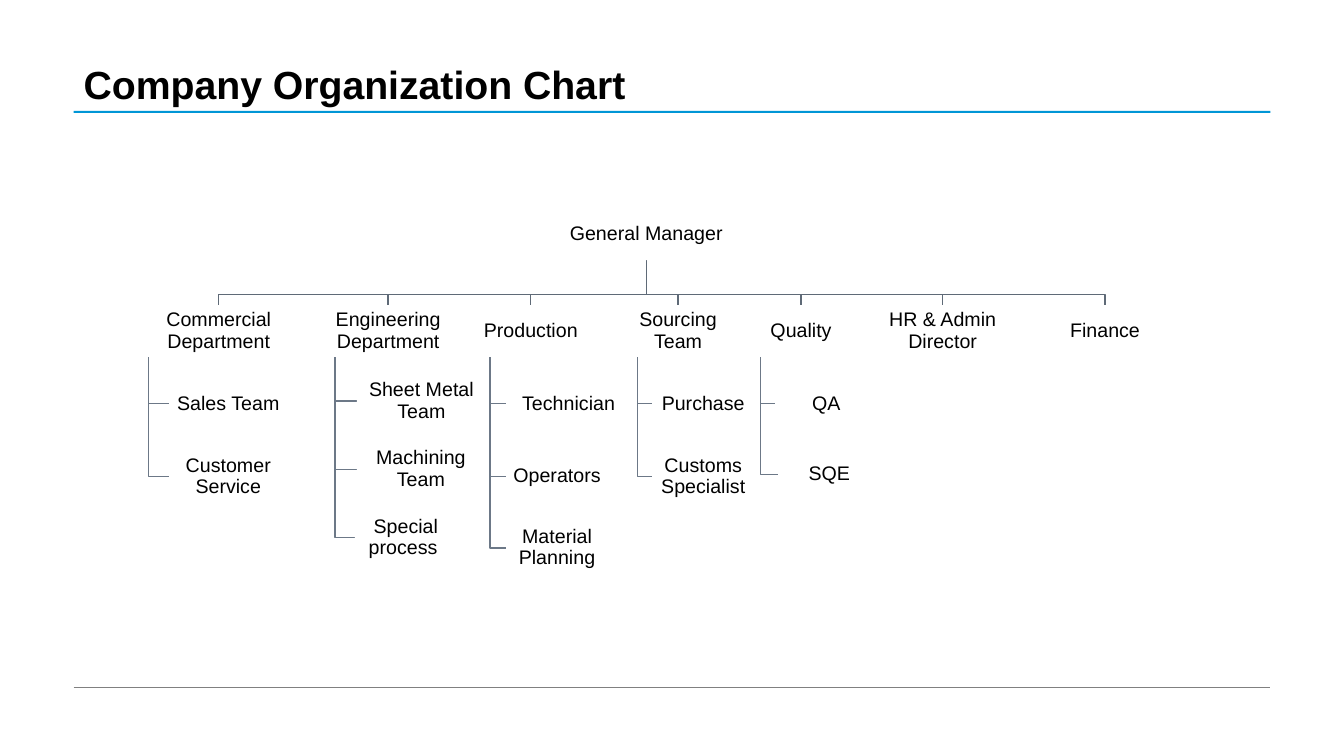
"""Build the company organization chart slide."""
from lxml.etree import SubElement
from pptx import Presentation
from pptx.dml.color import RGBColor
from pptx.enum.shapes import MSO_CONNECTOR, MSO_SHAPE
from pptx.enum.text import MSO_ANCHOR, MSO_AUTO_SIZE, PP_ALIGN
from pptx.oxml.ns import qn
from pptx.util import Inches, Pt

TITLE = "Company Organization Chart"
MANAGER = ("General Manager", 5.22, 2.07, 2.38, 0.51)
DEPARTMENTS = [
    ("Commercial Department", 1.3, 1.74, [
        ("Sales Team", 1.68, 3.75, 1.17, 0.51),
        ("Customer Service", 1.68, 4.47, 1.17, 0.51)]),
    ("Engineering Department", 3.19, 1.32, [
        ("Sheet Metal Team", 3.54, 3.76, 1.28, 0.44),
        ("Machining Team", 3.54, 4.42, 1.27, 0.47),
        ("Special process ", 3.52, 5.08, 1.01, 0.51)]),
    ("Production", 4.76, 1.01, [
        ("Technician", 5.02, 3.75, 1.24, 0.51),
        ("Operators", 5.02, 4.47, 1.01, 0.51),
        ("Material Planning", 5.02, 5.18, 1.01, 0.51)]),
    ("Sourcing Team", 6.22, 1.01, [
        ("Purchase", 6.47, 3.75, 1.01, 0.51),
        ("Customs Specialist", 6.47, 4.47, 1.01, 0.51)]),
    ("Quality", 7.44, 1.01, [
        ("QA", 7.69, 3.75, 1.01, 0.51),
        ("SQE", 7.72, 4.45, 1.01, 0.51)]),
    ("HR & Admin Director", 8.67, 1.36, []),
    ("Finance", 10.25, 1.42, []),
]
DEPARTMENT_TOP, DEPARTMENT_HEIGHT, BUS_Y = 3.03, 0.51, 2.92
SPINE_SHARE = 0.1
RULE_LEFT, RULE_WIDTH = 0.73, 11.87
BLACK, WHITE, BLUE, GRAY = "000000", "FFFFFF", "0096D6", "808080"
TRUNK, BRANCH = "5F6A77", "6C7887"
BOX_FRAME = {
    "word_wrap": True, "vertical_anchor": MSO_ANCHOR.MIDDLE,
    "margin_left": Inches(0.01), "margin_right": Inches(0.01),
    "margin_top": Inches(0.01), "margin_bottom": Inches(0.01),
}
TITLE_FRAME = {
    "word_wrap": True, "vertical_anchor": MSO_ANCHOR.BOTTOM,
    "auto_size": MSO_AUTO_SIZE.NONE,
}
BOX_FONT = {"name": "Arial", "size": Pt(14), "bold": False}
TITLE_FONT = {"name": "Arial", "size": Pt(28), "bold": True}


def color(target, value):
    target.rgb = RGBColor.from_string(value)


def apply(target, values):
    for key, value in values.items():
        setattr(target, key, value)


def write(shape, wording, frame_format, font_format, alignment):
    frame = shape.text_frame
    frame.text = wording
    apply(frame, frame_format)
    paragraph = frame.paragraphs[0]
    apply(paragraph, {"alignment": alignment, "line_spacing": 0.9})
    font = paragraph.runs[0].font
    apply(font, font_format)
    color(font.color, BLACK)


def add_block(slide, left, top, width, height, fill):
    block = slide.shapes.add_shape(
        MSO_SHAPE.RECTANGLE, *map(Inches, (left, top, width, height)))
    block.shadow.inherit = False
    block.fill.solid()
    color(block.fill.fore_color, fill)
    block.line.fill.background()
    return block


def add_box(slide, wording, left, top, width, height):
    box = add_block(slide, left, top, width, height, WHITE)
    write(box, wording, BOX_FRAME, BOX_FONT, PP_ALIGN.CENTER)


def add_elbow(slide, points, stroke):
    start, *corners = [(Inches(x), Inches(y)) for x, y in points]
    builder = slide.shapes.build_freeform(*start)
    builder.add_line_segments(corners, close=False)
    elbow = builder.convert_to_shape()
    elbow.shadow.inherit = False
    elbow.fill.background()
    elbow.line.width = Pt(1)
    color(elbow.line.color, stroke)


def add_header_and_footer(slide):
    add_block(slide, RULE_LEFT, 1.1, RULE_WIDTH, 0.02, BLUE)
    footer = slide.shapes.add_connector(
        MSO_CONNECTOR.STRAIGHT, Inches(RULE_LEFT), Inches(6.82),
        Inches(RULE_LEFT + RULE_WIDTH), Inches(6.82))
    footer.line.width = Pt(0.5)
    color(footer.line.color, GRAY)
    SubElement(footer.element.spPr, qn("a:effectLst"))
    title = slide.shapes.title
    apply(title, {"left": Inches(RULE_LEFT), "top": Inches(0),
                  "width": Inches(RULE_WIDTH), "height": Inches(1.12)})
    write(title, TITLE, TITLE_FRAME, TITLE_FONT, PP_ALIGN.LEFT)


def add_lines(slide):
    _, left, top, width, height = MANAGER
    manager_x, manager_bottom = left + width / 2, top + height
    department_bottom = DEPARTMENT_TOP + DEPARTMENT_HEIGHT
    for _, left, width, members in DEPARTMENTS:
        center = left + width / 2
        add_elbow(slide, [(manager_x, manager_bottom), (manager_x, BUS_Y),
                          (center, BUS_Y), (center, DEPARTMENT_TOP)], TRUNK)
        spine = left + width * SPINE_SHARE
        for _, member_left, member_top, _, member_height in members:
            middle = member_top + member_height / 2
            add_elbow(slide, [(spine, department_bottom), (spine, middle),
                              (member_left, middle)], BRANCH)


def add_boxes(slide):
    add_box(slide, *MANAGER)
    for department, left, width, members in DEPARTMENTS:
        add_box(slide, department, left, DEPARTMENT_TOP, width, DEPARTMENT_HEIGHT)
        for member in members:
            add_box(slide, *member)


def main():
    deck = Presentation()
    apply(deck, {"slide_width": Inches(13.33), "slide_height": Inches(7.5)})
    slide = deck.slides.add_slide(deck.slide_layouts[5])
    add_header_and_footer(slide)
    add_lines(slide)
    add_boxes(slide)
    deck.save("out.pptx")


if __name__ == "__main__":
    main()
